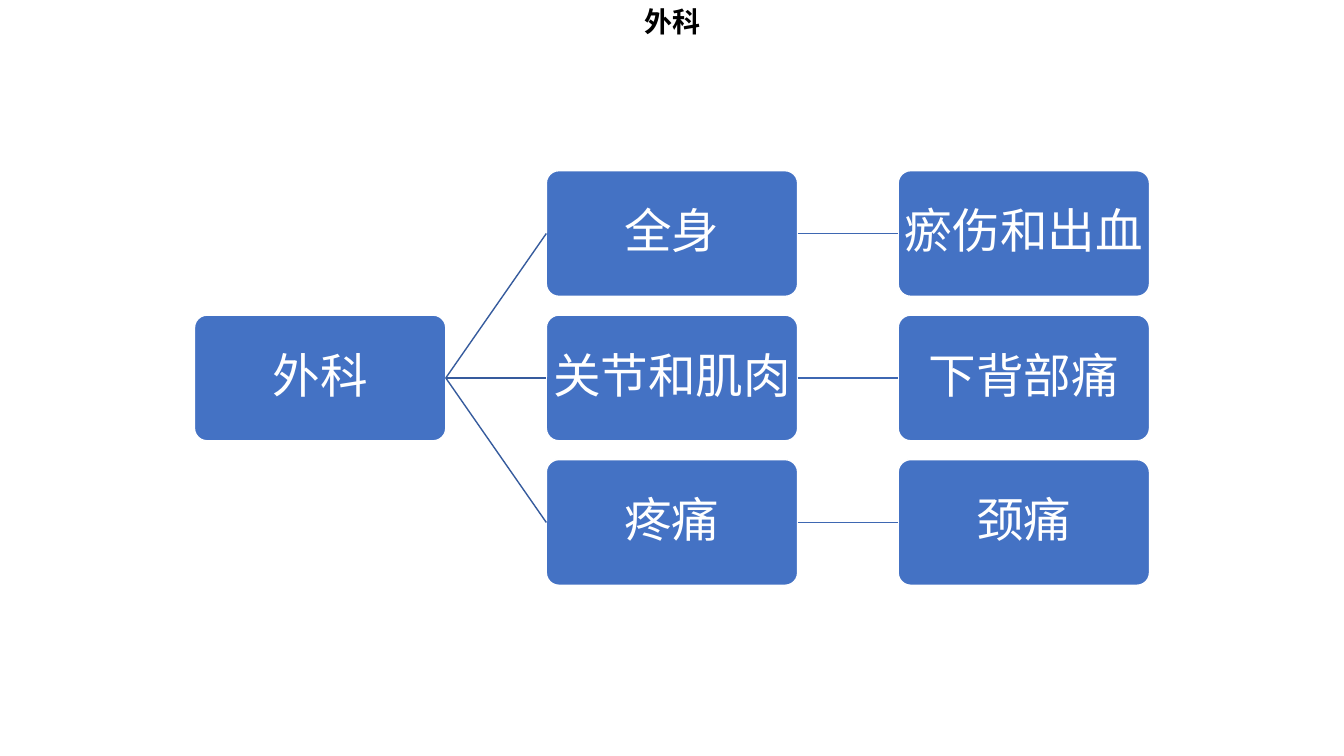
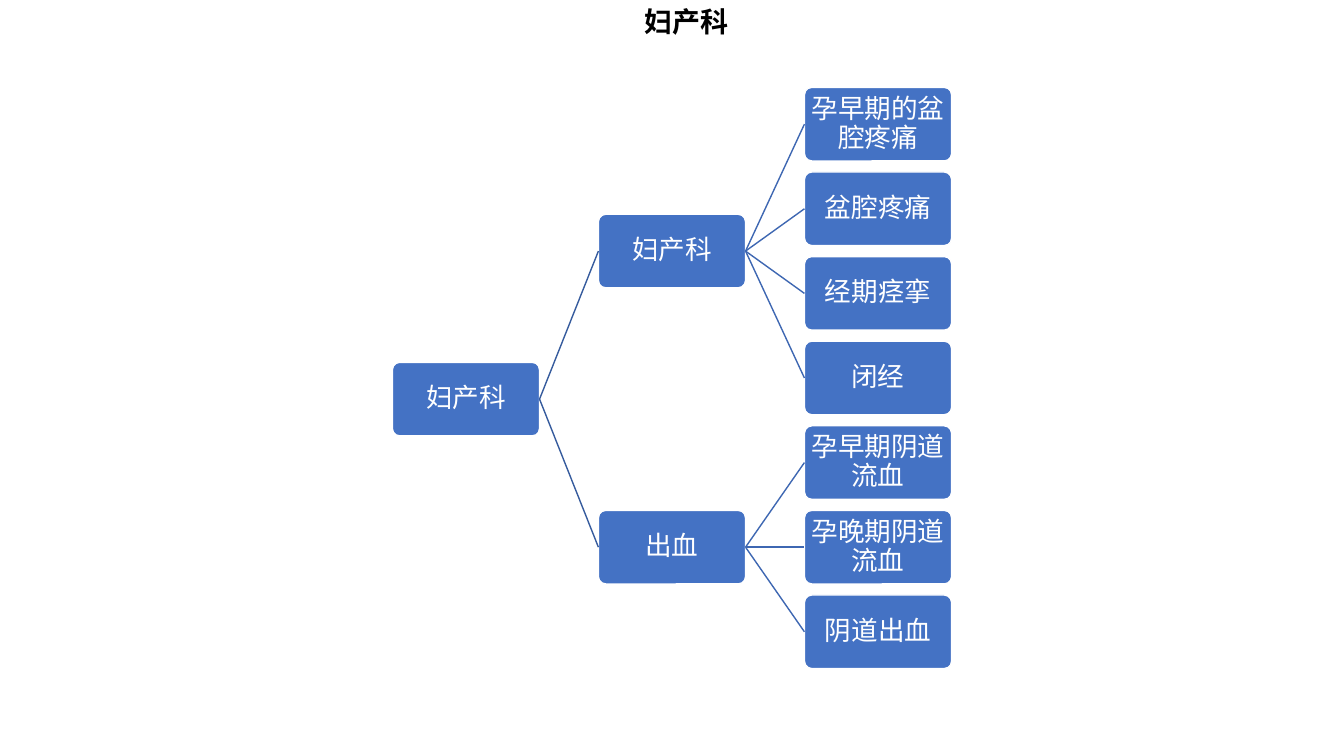
import lxml.etree
import pptx
import pptx.dml.color
import pptx.enum.shapes
import pptx.enum.text
import pptx.oxml.ns
import pptx.util

FONT = "Noto Sans CJK SC"
BLACK, WHITE, BLUE = "000000", "FFFFFF", "4472C4"
LINK_COLOURS = ["365B9D", "3E67B2"]  # by depth of the parent
TITLE_SIZE = 20

# Proportions of a tree, in box widths
BOX_HEIGHT = 0.5
COLUMN_STEP = 1.4
ROW_STEP = 0.575
BOX_INSET = 0.008

# Each tree: box width in percent of the slide, text size, (name, children)
TREES = [
    (18.7, 34, ("外科", [
        ("全身", [("瘀伤和出血", [])]),
        ("关节和肌肉", [("下背部痛", [])]),
        ("疼痛", [("颈痛", [])]),
    ])),
    (10.95, 19, ("妇产科", [
        ("妇产科", [
            ("孕早期的盆腔疼痛", []),
            ("盆腔疼痛", []),
            ("经期痉挛", []),
            ("闭经", []),
        ]),
        ("出血", [
            ("孕早期阴道流血", []),
            ("孕晚期阴道流血", []),
            ("阴道出血", []),
        ]),
    ])),
]


def colour(value):
    return pptx.dml.color.RGBColor.from_string(value)


def leaf_count(node):
    return sum(map(leaf_count, node[1])) or 1


def depth_count(node):
    return 1 + max(map(depth_count, node[1]), default=0)


class TreeDeck:
    """Holds the deck, its style and the slide being drawn."""

    def __init__(self):
        self.deck = pptx.Presentation()
        self.deck.slide_width = pptx.util.Inches(13.33)
        self.deck.slide_height = pptx.util.Inches(7.5)
        self.page = None

    def add_page(self, title):
        self.page = self.deck.slides.add_slide(self.deck.slide_layouts[6])
        width = pptx.util.Inches(0.2) + len(title) * pptx.util.Pt(TITLE_SIZE)
        box = self.page.shapes.add_textbox(
            pptx.util.Inches(6.29), 0, width, pptx.util.Inches(0.44))
        box.text_frame.word_wrap = False
        box.text_frame.auto_size = pptx.enum.text.MSO_AUTO_SIZE.SHAPE_TO_FIT_TEXT
        self.set_text(box, title, TITLE_SIZE, BLACK, bold=True)

    def set_text(self, box, text, size, text_colour, bold=False):
        box.text_frame.text = text
        span = box.text_frame.paragraphs[0].runs[0]
        span.font.name = FONT
        span.font.size = pptx.util.Pt(size)
        span.font.bold = bold
        span.font.color.rgb = colour(text_colour)
        east_asian = lxml.etree.SubElement(
            span.font._element, pptx.oxml.ns.qn("a:ea"))
        east_asian.set("typeface", FONT)

    def add_box(self, text, left, middle, width, size):
        height = width * BOX_HEIGHT
        box = self.page.shapes.add_shape(
            pptx.enum.shapes.MSO_SHAPE.ROUNDED_RECTANGLE,
            int(left), int(middle - height / 2), int(width), int(height))
        box.adjustments[0] = 0.1
        box.shadow.inherit = False
        box.fill.solid()
        box.fill.fore_color.rgb = colour(BLUE)
        box.line.color.rgb = colour(WHITE)
        box.line.width = pptx.util.Pt(1)
        frame = box.text_frame
        frame.word_wrap = True
        frame.vertical_anchor = pptx.enum.text.MSO_ANCHOR.MIDDLE
        frame.margin_left = frame.margin_right = int(width * BOX_INSET)
        frame.margin_top = frame.margin_bottom = int(width * BOX_INSET)
        self.set_text(box, text, size, WHITE)
        para = frame.paragraphs[0]
        para.alignment = pptx.enum.text.PP_ALIGN.CENTER
        para.line_spacing = 0.9
        return box

    def add_link(self, parent, child, depth):
        link = self.page.shapes.add_connector(
            pptx.enum.shapes.MSO_CONNECTOR.STRAIGHT, 0, 0, 0, 0)
        link.begin_connect(parent, 3)
        link.end_connect(child, 1)
        link.line.color.rgb = colour(LINK_COLOURS[depth])
        link.line.width = pptx.util.Pt(1)
        lxml.etree.SubElement(
            link._element.spPr, pptx.oxml.ns.qn("a:effectLst"))

    def add_tree(self, root, percent, size):
        """Centre a tree on the slide; each parent sits midway between its children."""
        width = self.deck.slide_width * percent / 100
        columns = 1 + (depth_count(root) - 1) * COLUMN_STEP
        left = (self.deck.slide_width - columns * width) / 2
        row_step = width * ROW_STEP
        first_row = (self.deck.slide_height - (leaf_count(root) - 1) * row_step) / 2

        def add_branch(node, depth, row):
            """Draw a node whose first leaf is on the given row; return box and middle."""
            name, children = node
            branches = []
            next_row = row
            for child in children:
                branches.append(add_branch(child, depth + 1, next_row))
                next_row += leaf_count(child)
            if branches:
                middle = (branches[0][1] + branches[-1][1]) / 2
            else:
                middle = first_row + row * row_step
            box = self.add_box(
                name, left + depth * width * COLUMN_STEP, middle, width, size)
            for child_box, _ in branches:
                self.add_link(box, child_box, depth)
            return box, middle

        add_branch(root, 0, 0)


def main():
    slides = TreeDeck()
    for percent, size, root in TREES:
        slides.add_page(root[0])
        slides.add_tree(root, percent, size)
    slides.deck.save("out.pptx")


if __name__ == "__main__":
    main()
